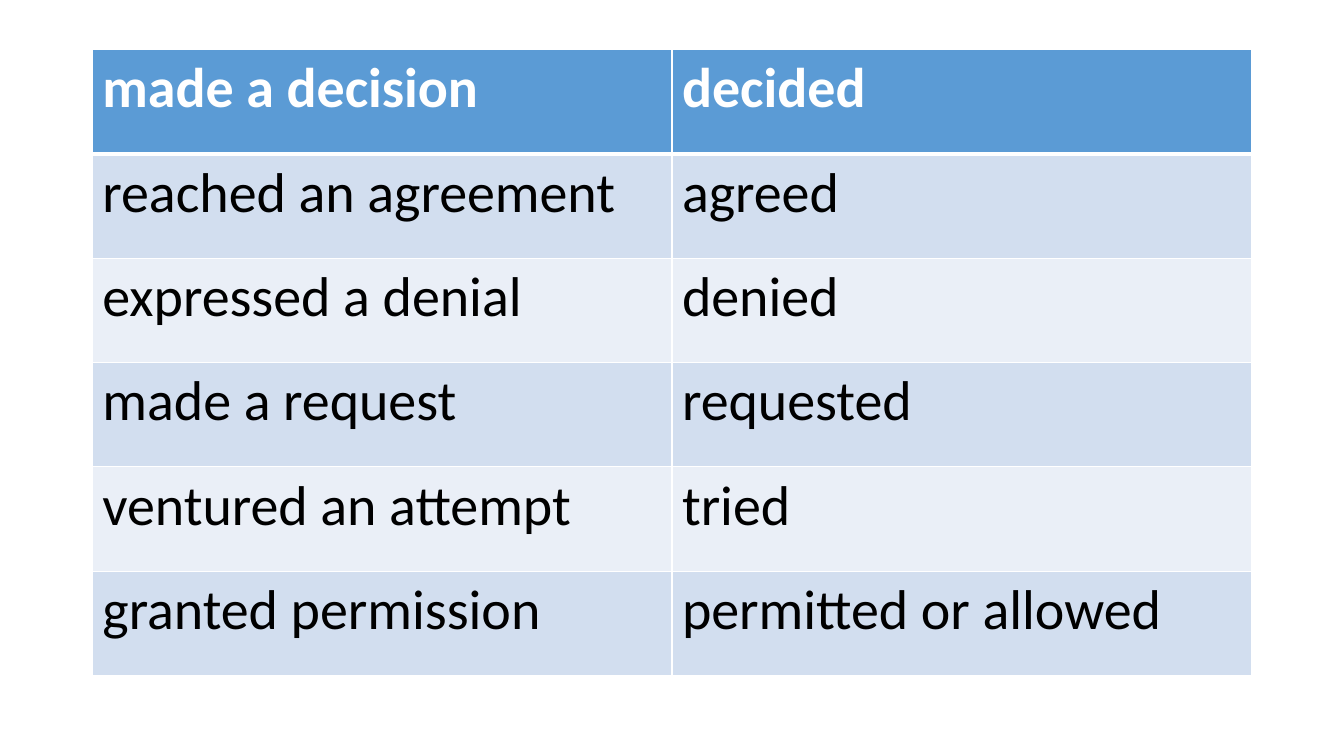
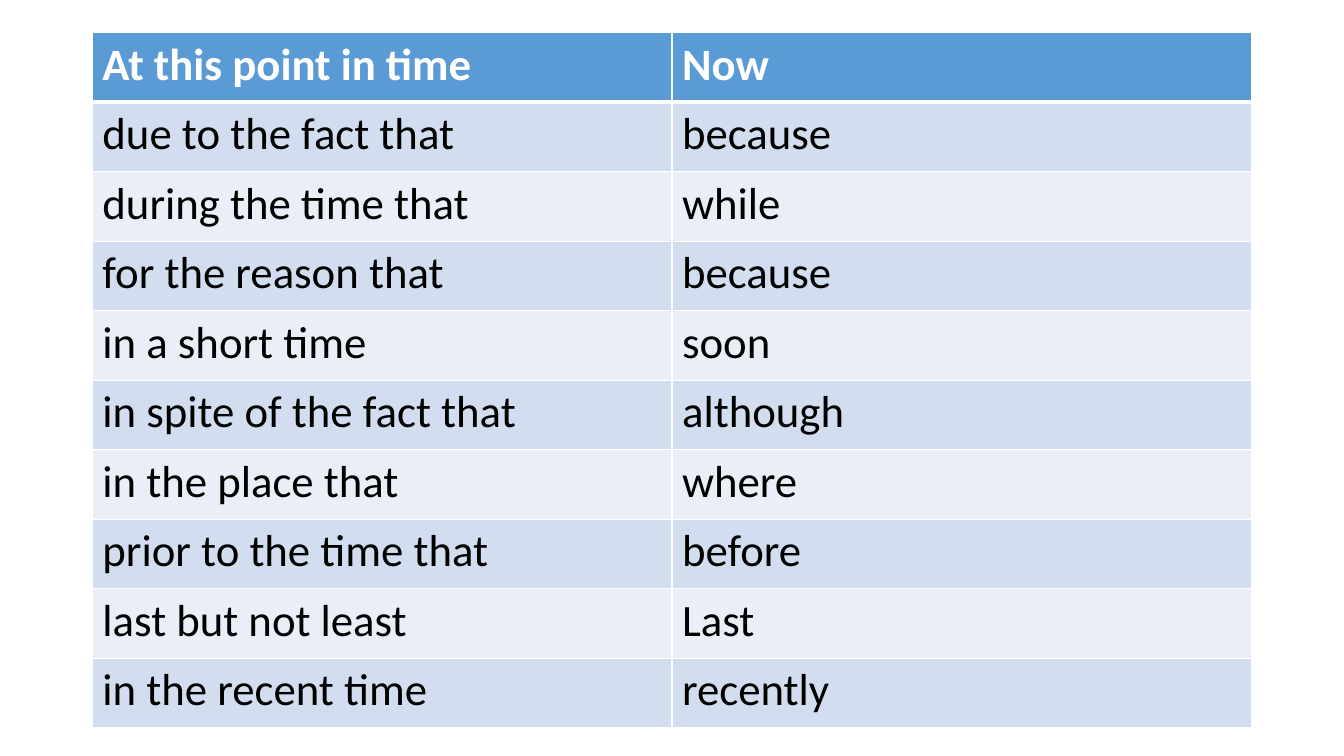
from dataclasses import dataclass

from lxml import etree
from pptx import Presentation
from pptx.dml.color import RGBColor
from pptx.enum.text import MSO_ANCHOR
from pptx.oxml.ns import qn
from pptx.util import Pt

TOP = MSO_ANCHOR.TOP
BLANK_LAYOUT = 6


@dataclass(frozen=True)
class Theme:
    font: str = "Calibri"
    header_fill: str = "5B9BD5"
    band_fills: tuple = ("D2DEEF", "EAEFF7")
    header_text: str = "FFFFFF"
    body_text: str = "000000"
    border: str = "FFFFFF"
    thin_line: float = 1
    header_line: float = 3
    large_text: float = 40
    medium_text: float = 32
    table_left: float = 66
    column_width: float = 414


class SlideWriter:
    """Holds the theme and the slide being filled."""

    def __init__(self, deck, theme):
        self.deck = deck
        self.theme = theme
        self.slide = None

    def new_slide(self):
        layout = self.deck.slide_layouts[BLANK_LAYOUT]
        self.slide = self.deck.slides.add_slide(layout)

    def phrase_table(self, rows, top, row_height, text_size):
        theme = self.theme
        column_count = len(rows[0])
        frame = self.slide.shapes.add_table(
            len(rows), column_count, Pt(theme.table_left), Pt(top),
            Pt(theme.column_width * column_count), Pt(row_height * len(rows)))
        table = frame.table
        for column in table.columns:
            column.width = Pt(theme.column_width)
        for index, words in enumerate(rows):
            table.rows[index].height = Pt(row_height)
            for cell, text in zip(table.rows[index].cells, words):
                self.fill_cell(cell, text, index, text_size)

    def fill_cell(self, cell, text, row, text_size):
        theme = self.theme
        is_header = row == 0
        self.cell_borders(cell, row)
        # Body rows alternate between the two band colours
        band = theme.band_fills[(row - 1) % len(theme.band_fills)]
        cell.fill.solid()
        cell.fill.fore_color.rgb = RGBColor.from_string(
            theme.header_fill if is_header else band)
        cell.vertical_anchor = TOP
        cell.text_frame.text = text
        font = cell.text_frame.paragraphs[0].runs[0].font
        font.name = theme.font
        font.size = Pt(text_size)
        font.bold = is_header
        font.color.rgb = RGBColor.from_string(
            theme.header_text if is_header else theme.body_text)

    def cell_borders(self, cell, row):
        theme = self.theme
        # The line between header and body is heavier, seen from both sides
        heavy_side = {0: "lnB", 1: "lnT"}.get(row)
        properties = cell._tc.get_or_add_tcPr()
        for side in ("lnL", "lnR", "lnT", "lnB"):
            width = theme.header_line if side == heavy_side else theme.thin_line
            line = etree.SubElement(properties, qn(f"a:{side}"), w=str(Pt(width)))
            fill = etree.SubElement(line, qn("a:solidFill"))
            etree.SubElement(fill, qn("a:srgbClr"), val=theme.border)


VERB_PHRASES = [
    ("made a decision", "decided"),
    ("reached an agreement", "agreed"),
    ("expressed a denial", "denied"),
    ("made a request", "requested"),
    ("ventured an attempt", "tried"),
    ("granted permission", "permitted or allowed"),
]
WORDY_PHRASES = [
    ("At this point in time", "Now"),
    ("due to the fact that", "because"),
    ("during the time that", "while"),
    ("for the reason that", "because"),
    ("in a short time", "soon"),
    ("in spite of the fact that", "although"),
    ("in the place that", "where"),
    ("prior to the time that", "before"),
    ("last but not least", "Last"),
    ("in the recent time", "recently"),
]

deck = Presentation()
deck.slide_width, deck.slide_height = Pt(960), Pt(540)
theme = Theme()
writer = SlideWriter(deck, theme)

# Slide 1: verbs in place of noun phrases
writer.new_slide()
writer.phrase_table(VERB_PHRASES, top=35.5, row_height=74.5,
                    text_size=theme.large_text)

# Slide 2: single words in place of wordy phrases
writer.new_slide()
writer.phrase_table(WORDY_PHRASES, top=23.25, row_height=49.68,
                    text_size=theme.medium_text)

deck.save("out.pptx")
